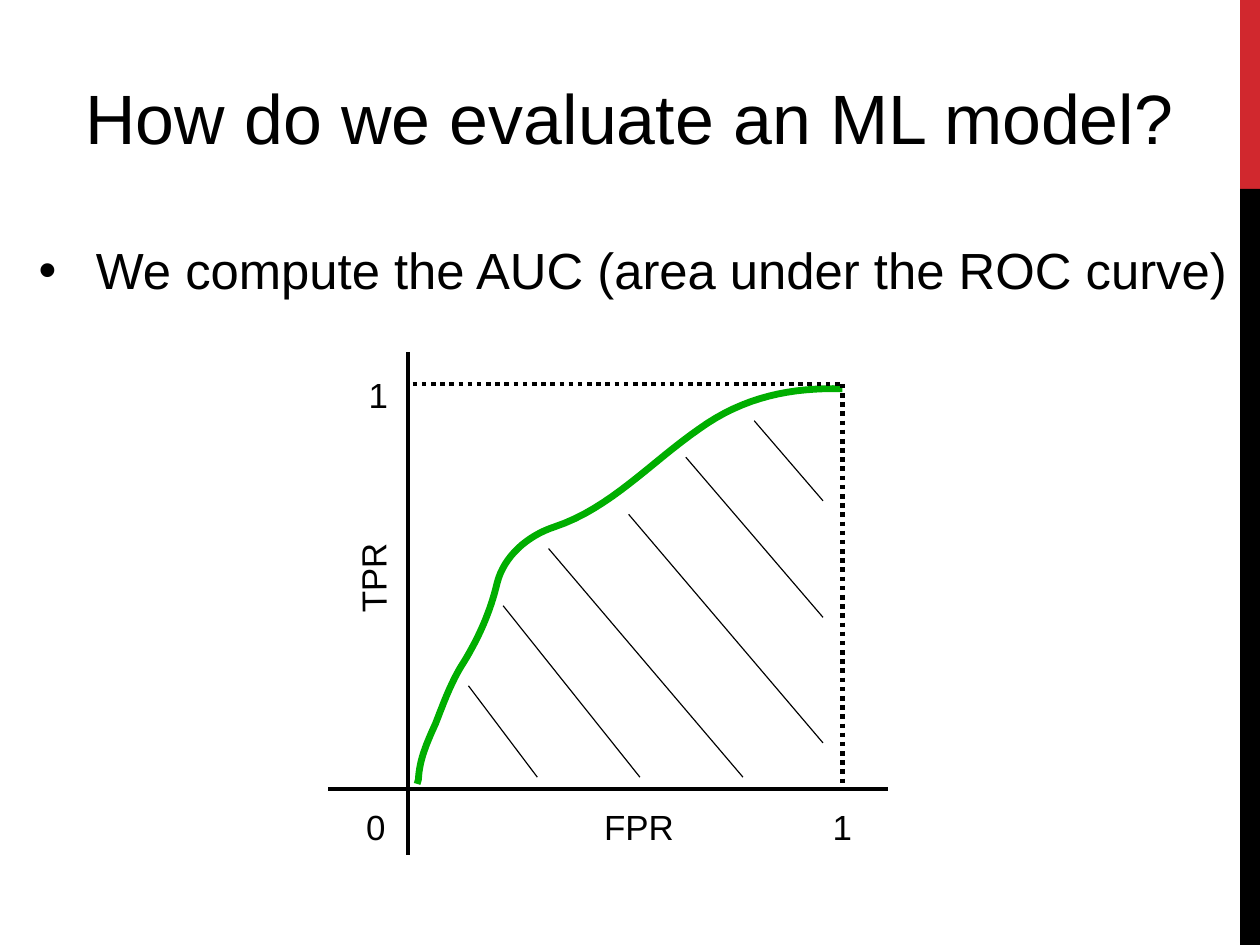
from pptx import Presentation
from pptx.dml.color import RGBColor
from pptx.enum.dml import MSO_LINE_DASH_STYLE as Dash
from pptx.enum.shapes import MSO_CONNECTOR as Connector, MSO_SHAPE as Shape
from pptx.enum.text import MSO_ANCHOR as Anchor, MSO_AUTO_SIZE as AutoSize, PP_ALIGN as Align
from pptx.oxml.ns import qn
from pptx.util import Cm, Pt
from lxml.etree import SubElement

BLACK, RED, GREEN = "000000", "D1282E", "00AE00"
AXIS_WIDTH, CURVE_WIDTH, HATCH_WIDTH = 2.89, 4.31, 0.75
STEPS = 16

STRIPES = [(0, 4.2, RED), (4.2, 16.8, BLACK)]
AXES = [((9.07, 7.82), (9.07, 19)), ((7.29, 17.53), (19.74, 17.53))]
UNIT_BOUNDS = [((9.17, 8.53), (18.72, 8.53)), ((18.72, 8.53), (18.72, 17.42))]
HATCHING = [
    ((10.41, 15.24), (11.94, 17.27)),
    ((11.18, 13.46), (14.22, 17.27)),
    ((12.19, 12.19), (16.51, 17.27)),
    ((13.97, 11.43), (18.29, 16.51)),
    ((15.24, 10.16), (18.29, 13.72)),
    ((16.76, 9.35), (18.29, 11.13)),
]
LABELS = [
    ("FPR", 10.01, 17.78, 8.38, 0),
    ("TPR", 4.06, 12.29, 8.38, 269.4),
    ("1", 17.96, 17.78, 1.52, 0),
    ("0", 7.59, 17.78, 1.52, 0),
    ("1", 7.65, 8.18, 1.52, 0),
]
ROC_START, ROC_END = (18.72, 8.64), (9.27, 17.42)
ROC_CURVES = [
    ((17.6, 8.61), (16.54, 8.81), (15.54, 9.53)),
    ((14.48, 10.26), (13.56, 11.3), (12.32, 11.71)),
    ((11.71, 11.91), (11.2, 12.37), (11.05, 12.95)),
    ((10.9, 13.59), (10.64, 14.17), (10.31, 14.71)),
    ((10.03, 15.14), (9.86, 15.62), (9.68, 16.08)),
    ((9.5, 16.48), (9.32, 16.87), (9.3, 17.32)),
]


def colour(value):
    return RGBColor.from_string(value)


def set_values(target, values):
    for name, value in values.items():
        setattr(target, name, value)


def place(shape, left, top, width, height):
    set_values(shape, {"left": Cm(left), "top": Cm(top),
                       "width": Cm(width), "height": Cm(height)})


def write(shape, text, size, frame_format, paragraph_format):
    frame = shape.text_frame
    set_values(frame, {"word_wrap": True, "auto_size": AutoSize.NONE, **frame_format})
    paragraph = frame.paragraphs[0]
    set_values(paragraph, {"space_before": Pt(0), **paragraph_format})
    run = paragraph.add_run()
    run.text = text
    set_values(run.font, {"name": "Arial", "size": Pt(size)})
    run.font.color.rgb = colour(BLACK)
    return paragraph


def no_margins():
    sides = ("left", "top", "right", "bottom")
    return {f"margin_{side}": Cm(0) for side in sides}


def add_title(slide, text):
    title = slide.shapes.title
    place(title, 1.4, 0.84, 25.2, 3.51)
    write(title, text, 44, {**no_margins(), "vertical_anchor": Anchor.MIDDLE},
          {"alignment": Align.CENTER})


def add_bullet(slide, text):
    body = slide.placeholders[1]
    place(body, 0.56, 5.31, 26.77, 15.24)
    paragraph = write(body, text, 32, {**no_margins(), "vertical_anchor": Anchor.TOP},
                      {"alignment": Align.LEFT, "space_after": Pt(14.1)})
    properties = paragraph._p.get_or_add_pPr()
    properties.set("marL", str(Cm(1.57)))
    properties.set("indent", str(Cm(-1.27)))
    SubElement(properties, qn("a:buChar"), char="•")


def add_stripe(slide, top, height, fill):
    stripe = slide.shapes.add_shape(Shape.RECTANGLE, Cm(27.56), Cm(top), Cm(0.44), Cm(height))
    stripe.shadow.inherit = False
    stripe.fill.solid()
    stripe.fill.fore_color.rgb = colour(fill)
    stripe.line.fill.background()


def add_label(slide, text, left, top, width, rotation):
    label = slide.shapes.add_textbox(Cm(left), Cm(top), Cm(width), Cm(1.12))
    label.rotation = rotation
    write(label, text, 22, {}, {"alignment": Align.CENTER})


def add_line(slide, start, end, width, dash=None):
    line = slide.shapes.add_connector(Connector.STRAIGHT, *map(Cm, start + end))
    SubElement(line._element.spPr, qn("a:effectLst"))
    line.line.color.rgb = colour(BLACK)
    set_values(line.line, {"width": Pt(width), "dash_style": dash})


def bezier_point(points, t):
    weights = ((1 - t) ** 3, 3 * t * (1 - t) ** 2, 3 * t * t * (1 - t), t ** 3)
    return tuple(Cm(sum(w * value for w, value in zip(weights, axis)))
                 for axis in zip(*points))


def add_roc_curve(slide):
    vertices, start = [], ROC_START
    for curve in ROC_CURVES:
        vertices += [bezier_point((start, *curve), step / STEPS)
                     for step in range(1, STEPS + 1)]
        start = curve[-1]
    vertices.append(tuple(map(Cm, ROC_END)))
    builder = slide.shapes.build_freeform(*map(Cm, ROC_START))
    builder.add_line_segments(vertices, close=False)
    roc_curve = builder.convert_to_shape()
    roc_curve.shadow.inherit = False
    roc_curve.fill.background()
    roc_curve.line.color.rgb = colour(GREEN)
    roc_curve.line.width = Pt(CURVE_WIDTH)


def main():
    presentation = Presentation()
    set_values(presentation, {"slide_width": Cm(28), "slide_height": Cm(21)})
    slide = presentation.slides.add_slide(presentation.slide_layouts[1])
    for stripe in STRIPES:
        add_stripe(slide, *stripe)
    add_title(slide, "How do we evaluate an ML model?")
    add_bullet(slide, "We compute the AUC (area under the ROC curve)")
    for axis in AXES:
        add_line(slide, *axis, AXIS_WIDTH)
    for label in LABELS:
        add_label(slide, *label)
    add_roc_curve(slide)
    for bound in UNIT_BOUNDS:
        add_line(slide, *bound, AXIS_WIDTH, Dash.ROUND_DOT)
    for hatch in HATCHING:
        add_line(slide, *hatch, HATCH_WIDTH)
    presentation.save("out.pptx")


if __name__ == "__main__":
    main()
